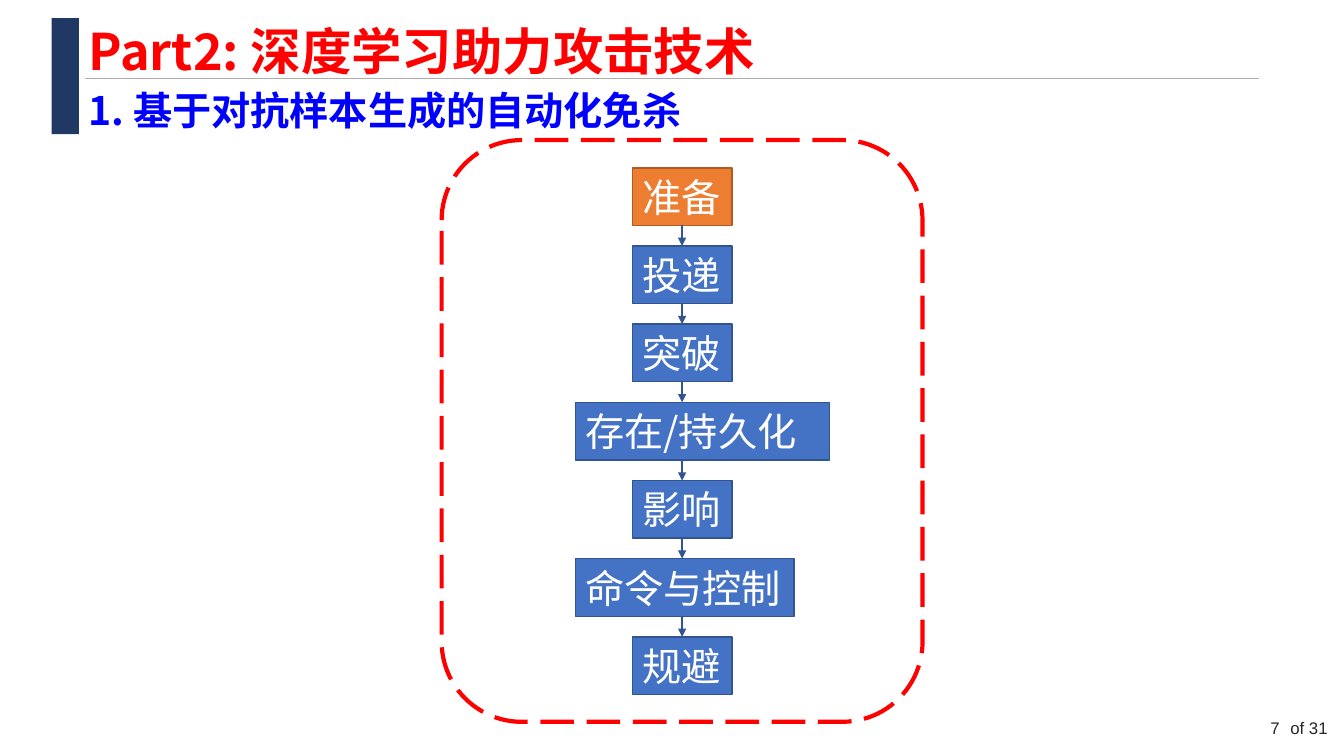
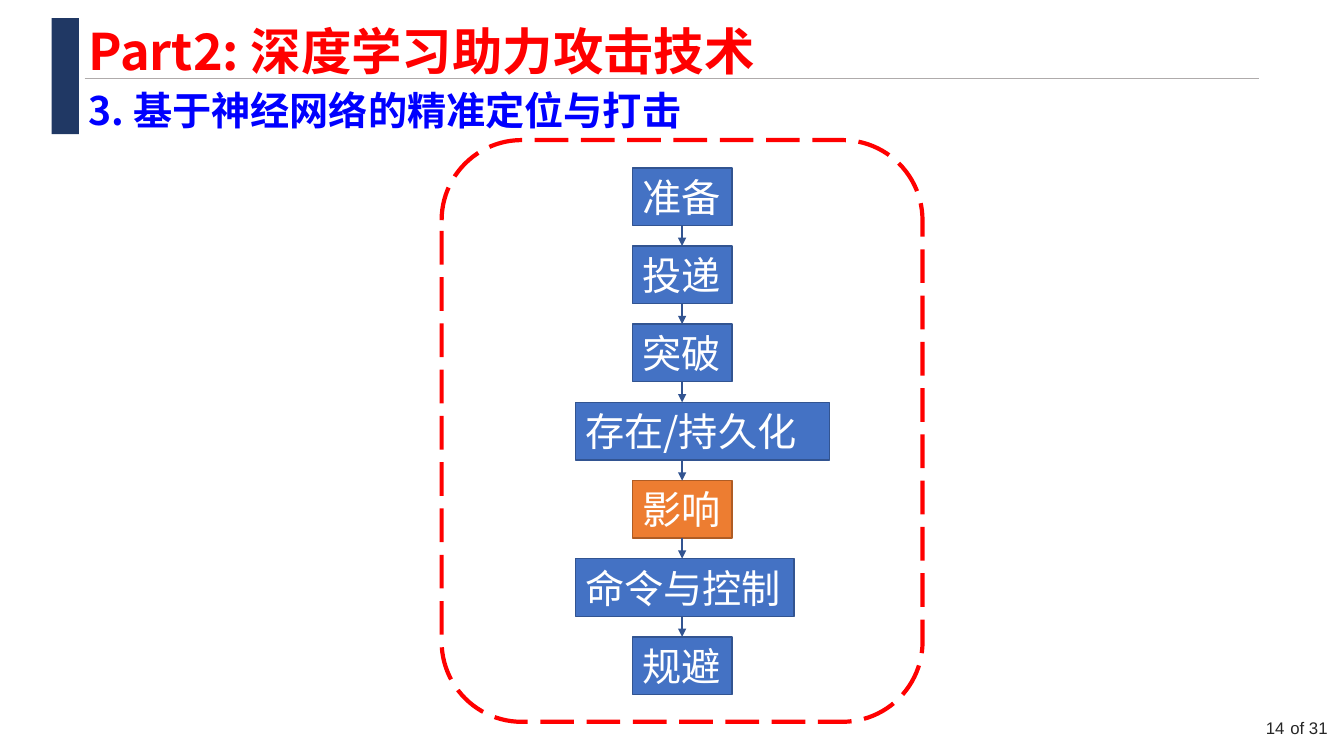
from dataclasses import dataclass

from lxml import etree
from pptx import Presentation
from pptx.dml.color import RGBColor
from pptx.enum.dml import MSO_LINE
from pptx.enum.shapes import MSO_CONNECTOR, MSO_SHAPE
from pptx.enum.text import MSO_ANCHOR, MSO_AUTO_SIZE, PP_ALIGN
from pptx.oxml.ns import qn
from pptx.util import Cm, Pt


@dataclass(frozen=True)
class Theme:
    cjk: str = "Noto Sans CJK SC"
    latin: str = "Arial"
    title: str = "FF0000"
    subtitle: str = "0000FF"
    band: str = "203864"
    rule: str = "AFABAB"
    footer: str = "262626"
    step: tuple = ("4472C4", "325491")
    active: tuple = ("ED7D31", "AF5C24")
    frame: str = "FF0000"
    white: str = "FFFFFF"
    title_size: int = 36
    text_size: int = 28
    footer_size: int = 12


T = Theme()

# Boxes are left, top, width, height in centimetres
TITLE_BOX = (1.98, 0.86, 18.06, 0.84)
SUBTITLE_BOX = (1.98, 2.18, 30.35, 1.19)
CHAIN_BOX = (11.13, 3.53, 12.12, 14.66)
NUMBER_BOX = (31.6, 17.95, 1.07, 0.76)
TOTAL_BOX = (31.88, 17.95, 1.83, 0.76)

# Step name, left edge within the chain, width
NARROW, WIDE = 4.81, 3.37
STEPS = [
    ("准备", NARROW, 2.51),
    ("投递", NARROW, 2.51),
    ("突破", NARROW, 2.51),
    ("存在/持久化", WIDE, 6.4),
    ("影响", NARROW, 2.51),
    ("命令与控制", WIDE, 5.51),
    ("规避", NARROW, 2.51),
]
SLIDES = [
    ("7", "1. 基于对抗样本生成的自动化免杀", "准备"),
    ("14", "3. 基于神经网络的精准定位与打击", "影响"),
]


def rgb(value):
    return RGBColor.from_string(value)


def place(sp, box):
    sp.left, sp.top, sp.width, sp.height = (Cm(v) for v in box)


def write(sp, text, size, color, font=T.cjk, bold=False,
          align=PP_ALIGN.LEFT, wrap=True):
    tf = sp.text_frame
    tf.text = text
    tf.word_wrap = wrap
    tf.auto_size = MSO_AUTO_SIZE.NONE
    tf.vertical_anchor = MSO_ANCHOR.MIDDLE
    tf.margin_top = tf.margin_bottom = 0
    p = tf.paragraphs[0]
    p.alignment = align
    p.space_before = Pt(0)
    r = p.runs[0]
    r.font.name = font
    r.font.size = Pt(size)
    r.font.bold = bold
    r.font.color.rgb = rgb(color)
    etree.SubElement(r._r.get_or_add_rPr(), qn("a:ea"), typeface=font)


def add_box(slide, kind, box, fill=None, line=None, width=1):
    sp = slide.shapes.add_shape(kind, *(Cm(v) for v in box))
    sp.shadow.inherit = False
    if fill:
        sp.fill.solid()
        sp.fill.fore_color.rgb = rgb(fill)
    else:
        sp.fill.background()
    if line:
        sp.line.color.rgb = rgb(line)
        sp.line.width = Pt(width)
    else:
        sp.line.fill.background()
    return sp


def add_line(slide, start, end, color, width, arrow=False):
    cx = slide.shapes.add_connector(
        MSO_CONNECTOR.STRAIGHT, *(Cm(v) for v in (*start, *end)))
    cx.line.color.rgb = rgb(color)
    cx.line.width = Pt(width)
    if arrow:
        etree.SubElement(cx.element.spPr.find(qn("a:ln")), qn("a:tailEnd"),
                         type="triangle")
    etree.SubElement(cx.element.spPr, qn("a:effectLst"))
    return cx


def add_footer_text(slide, box, text, align):
    sp = slide.shapes.add_textbox(*(Cm(v) for v in box))
    write(sp, text, T.footer_size, T.footer, T.latin, align=align)
    return sp


def set_up_layout(prs, layout):
    """Give the layout its placeholder boxes, band, rule and page total.

    Layouts cannot add shapes, so these are made on the first slide and moved.
    That slide is returned for use.
    """
    for ph, box in zip(layout.placeholders, (TITLE_BOX, SUBTITLE_BOX)):
        place(ph, box)
    first = prs.slides.add_slide(layout)
    parts = [
        add_footer_text(first, TOTAL_BOX, "of 31", PP_ALIGN.RIGHT),
        add_line(first, (2.13, 1.98), (31.72, 1.98), T.rule, 0.5),
        add_box(first, MSO_SHAPE.RECTANGLE, (1.3, 0.46, 0.69, 2.92), T.band),
    ]
    for shape_id, part in enumerate(parts, 20):
        part.element.xpath(".//p:cNvPr")[0].set("id", str(shape_id))
        layout.shapes.element.append(part.element)
    return first


def add_headings(slide, subtitle):
    title, body = slide.placeholders
    write(title, "Part2: 深度学习助力攻击技术", T.title_size, T.title, bold=True)
    write(body, subtitle, T.text_size, T.subtitle, bold=True)
    pPr = body.text_frame.paragraphs[0]._p.get_or_add_pPr()
    pPr.set("marL", "0")
    pPr.set("indent", "0")
    etree.SubElement(pPr, qn("a:buNone"))


def add_attack_chain(slide, box, active):
    """Draw the steps from top to bottom in a dashed frame, one highlighted."""
    left, top, width, _ = box
    height, pitch = 1.45, 1.97
    axis = left + width / 2
    for i, (name, offset, step_width) in enumerate(STEPS):
        y = top + 0.7 + i * pitch
        fill, line = T.active if name == active else T.step
        sp = add_box(slide, MSO_SHAPE.RECTANGLE,
                     (left + offset, y, step_width, height), fill, line)
        write(sp, name, T.text_size, T.white, wrap=False)
        if i:
            add_line(slide, (axis, y - pitch + height), (axis, y),
                     T.step[1], 1, arrow=True)
    frame = add_box(slide, MSO_SHAPE.ROUNDED_RECTANGLE, box, line=T.frame, width=3)
    frame.line.dash_style = MSO_LINE.LONG_DASH


def build_slide(slide, number, subtitle, active):
    add_footer_text(slide, NUMBER_BOX, number, PP_ALIGN.CENTER)
    add_headings(slide, subtitle)
    add_attack_chain(slide, CHAIN_BOX, active)


def main():
    prs = Presentation()
    prs.slide_width, prs.slide_height = Cm(33.87), Cm(19.05)
    layout = prs.slide_layouts[1]
    first = set_up_layout(prs, layout)
    slides = [first] + [prs.slides.add_slide(layout) for _ in SLIDES[1:]]
    for slide, content in zip(slides, SLIDES):
        build_slide(slide, *content)
    prs.save("out.pptx")


if __name__ == "__main__":
    main()
